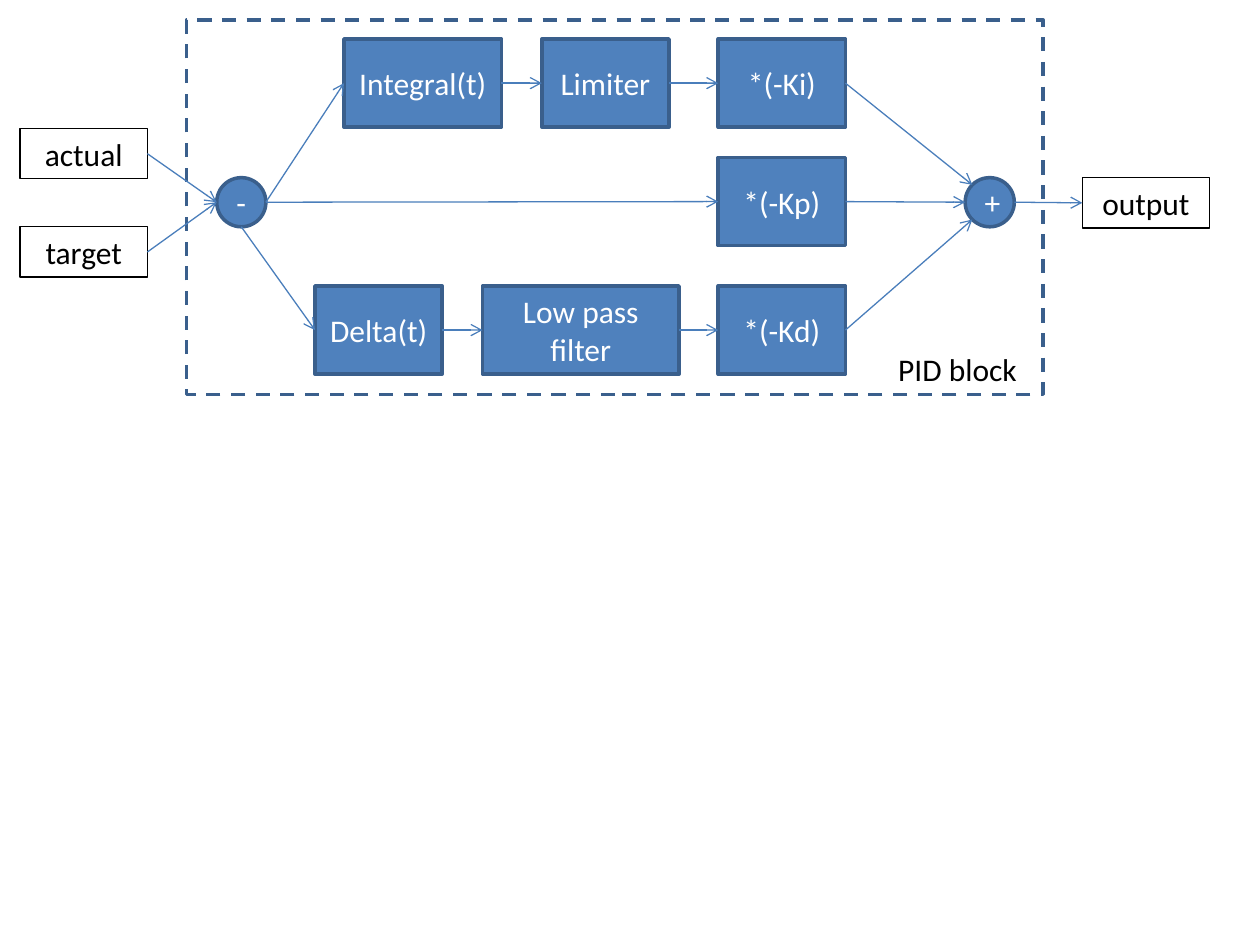
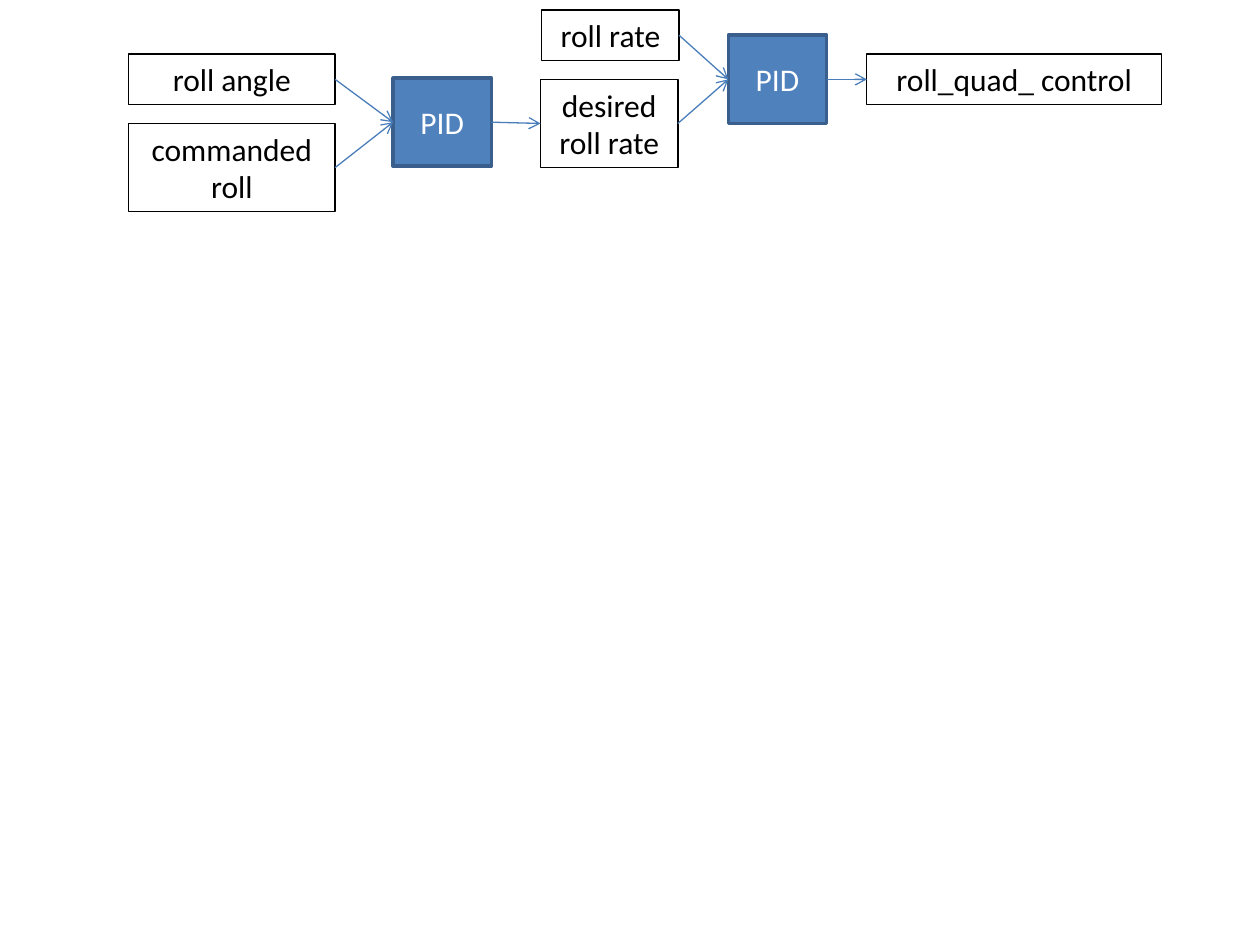
"""Build two block diagrams: the PID block, and the roll control cascade."""
import math

import pptx
import pptx.dml.color
import pptx.enum.dml
import pptx.enum.shapes
import pptx.enum.text
import pptx.oxml
import pptx.oxml.ns
import pptx.util

Inches = pptx.util.Inches
Pt = pptx.util.Pt
RGBColor = pptx.dml.color.RGBColor
ShapeKind = pptx.enum.shapes.MSO_SHAPE
Anchor = pptx.enum.text.MSO_ANCHOR
Align = pptx.enum.text.PP_ALIGN

BLOCK_FILL = RGBColor(0x4F, 0x81, 0xBD)
BLOCK_LINE = RGBColor(0x3A, 0x5F, 0x8C)
ARROW_LINE = RGBColor(0x4A, 0x7E, 0xBB)
BLACK = RGBColor(0, 0, 0)
WHITE = RGBColor(255, 255, 255)

FONT = "Calibri"
FONT_SIZE = Pt(18)
THIN = Pt(0.75)
THICK = Pt(2)

BLOCK_WIDTH = 1.01
BLOCK_HEIGHT = 0.7
SIGNAL_HEIGHT = 0.4
NODE_SIZE = 0.39
PID_WIDTH = 0.78

# Connection sites of a rectangle, and directions in degrees (clockwise from right).
RECTANGLE_SITES = {"left": 1, "right": 3}
NODE_ANGLES = {"right": 0, "bottom": 90, "lower left": 135,
               "left": 180, "upper left": 225}


class Diagram:
    """Holds the shared style and the slide being drawn."""

    def __init__(self, presentation):
        """Remember the presentation; slides are added on demand."""
        self.presentation = presentation
        self.slide = None

    def new_slide(self):
        """Start a blank slide."""
        self.slide = self.presentation.slides.add_slide(
            self.presentation.slide_layouts[6])

    def set_text(self, shape, text, color, align=Align.CENTER, anchor=Anchor.TOP):
        """Put styled text in a shape."""
        frame = shape.text_frame
        frame.text = text
        frame.word_wrap = True
        frame.vertical_anchor = anchor
        for paragraph in frame.paragraphs:
            paragraph.alignment = align
            for run in paragraph.runs:
                run.font.name = FONT
                run.font.size = FONT_SIZE
                run.font.color.rgb = color

    def outline(self, kind, left, top, width, height, color, line_width):
        """Draw an unfilled preset shape."""
        shape = self.slide.shapes.add_shape(
            kind, Inches(left), Inches(top), Inches(width), Inches(height))
        shape.shadow.inherit = False
        shape.fill.background()
        shape.line.color.rgb = color
        shape.line.width = line_width
        return shape

    def block(self, text, left, top, width=BLOCK_WIDTH, height=BLOCK_HEIGHT,
              kind=ShapeKind.RECTANGLE):
        """Draw a filled processing block."""
        shape = self.outline(kind, left, top, width, height, BLOCK_LINE, THICK)
        shape.fill.solid()
        shape.fill.fore_color.rgb = BLOCK_FILL
        self.set_text(shape, text, WHITE, anchor=Anchor.MIDDLE)
        return shape

    def node(self, text, left, top):
        """Draw a round sum or difference node."""
        return self.block(text, left, top, NODE_SIZE, NODE_SIZE, ShapeKind.OVAL)

    def signal(self, text, left, top, width=BLOCK_WIDTH, height=SIGNAL_HEIGHT):
        """Draw an outlined box that names an input or output."""
        shape = self.outline(ShapeKind.RECTANGLE, left, top, width, height,
                             BLACK, THIN)
        self.set_text(shape, text, BLACK)
        return shape

    def frame(self, left, top, width, height):
        """Draw a dashed boundary."""
        shape = self.outline(ShapeKind.RECTANGLE, left, top, width, height,
                             BLOCK_LINE, THICK)
        shape.line.dash_style = pptx.enum.dml.MSO_LINE.DASH

    def label(self, text, left, top, width, height):
        """Add free-standing text."""
        shape = self.slide.shapes.add_textbox(
            Inches(left), Inches(top), Inches(width), Inches(height))
        self.set_text(shape, text, BLACK, align=Align.LEFT)

    def edge_point(self, shape, side):
        """Return the point on a side of a rectangle or a node."""
        angle = math.radians(NODE_ANGLES[side])
        return (round(shape.left + shape.width / 2 * (1 + math.cos(angle))),
                round(shape.top + shape.height / 2 * (1 + math.sin(angle))))

    def arrow(self, source, target, source_side="right", target_side="left"):
        """Draw an arrow from one shape to another, glued to rectangles."""
        connector = self.slide.shapes.add_connector(
            pptx.enum.shapes.MSO_CONNECTOR.STRAIGHT,
            *self.edge_point(source, source_side),
            *self.edge_point(target, target_side))
        if source.auto_shape_type == ShapeKind.RECTANGLE:
            connector.begin_connect(source, RECTANGLE_SITES[source_side])
        if target.auto_shape_type == ShapeKind.RECTANGLE:
            connector.end_connect(target, RECTANGLE_SITES[target_side])
        connector.line.color.rgb = ARROW_LINE
        connector.line.width = THIN
        line = connector.element.spPr.find(pptx.oxml.ns.qn("a:ln"))
        namespace = pptx.oxml.ns.nsdecls("a")
        line.append(pptx.oxml.parse_xml(f'<a:tailEnd {namespace} type="arrow"/>'))
        line.addnext(pptx.oxml.parse_xml(f'<a:effectLst {namespace}/>'))

    def chain(self, *shapes):
        """Join neighbouring shapes with arrows."""
        for source, target in zip(shapes, shapes[1:]):
            self.arrow(source, target)


def draw_pid_block(diagram):
    """Draw the inside of the PID block."""
    diagram.new_slide()
    integral_top, proportional_top, derivative_top = 0.31, 1.25, 2.27
    gain_left, node_top = 5.7, 1.41

    diagram.frame(1.48, 0.16, 6.8, 2.97)
    diagram.label("PID block", 7.03, 2.73, 1.25, SIGNAL_HEIGHT)
    actual = diagram.signal("actual", 0.16, 1.02)
    target = diagram.signal("target", 0.16, 1.8)
    output = diagram.signal("output", 8.59, node_top)
    difference = diagram.node("-", 1.72, node_top)
    total = diagram.node("+", 7.66, node_top)

    integral = diagram.block("Integral(t)", 2.73, integral_top, 1.25)
    limiter = diagram.block("Limiter", 4.3, integral_top)
    integral_gain = diagram.block("*(-Ki)", gain_left, integral_top)
    proportional_gain = diagram.block("*(-Kp)", gain_left, proportional_top)
    delta = diagram.block("Delta(t)", 2.5, derivative_top)
    low_pass = diagram.block("Low pass filter", 3.83, derivative_top, 1.56)
    derivative_gain = diagram.block("*(-Kd)", gain_left, derivative_top)

    diagram.arrow(actual, difference)
    diagram.arrow(target, difference)
    diagram.chain(difference, integral, limiter, integral_gain)
    diagram.chain(difference, proportional_gain, total, output)
    diagram.arrow(difference, delta, source_side="bottom")
    diagram.chain(delta, low_pass, derivative_gain)
    diagram.arrow(integral_gain, total, target_side="upper left")
    diagram.arrow(derivative_gain, total, target_side="lower left")


def draw_roll_control(diagram):
    """Draw the cascade of an angle PID and a rate PID."""
    diagram.new_slide()
    angle_left, angle_width = 1.02, 1.64
    rate_left, rate_width = 4.29, 1.09

    angle = diagram.signal("roll angle", angle_left, 0.43, angle_width)
    command = diagram.signal("commanded\nroll", angle_left, 0.98, angle_width,
                             BLOCK_HEIGHT)
    angle_pid = diagram.block("PID", 3.12, 0.62, PID_WIDTH)
    rate = diagram.signal("roll rate", rate_left + 0.01, 0.08, rate_width)
    desired_rate = diagram.signal("desired roll rate", rate_left, 0.63,
                                  rate_width, BLOCK_HEIGHT)
    rate_pid = diagram.block("PID", 5.78, 0.28, PID_WIDTH)
    control = diagram.signal("roll_quad_ control", 6.88, 0.43, 2.34)

    diagram.arrow(angle, angle_pid)
    diagram.chain(command, angle_pid, desired_rate, rate_pid, control)
    diagram.arrow(rate, rate_pid)


def main():
    """Build and save the presentation."""
    presentation = pptx.Presentation()
    presentation.slide_width = Inches(10)
    presentation.slide_height = Inches(7.5)
    diagram = Diagram(presentation)
    draw_pid_block(diagram)
    draw_roll_control(diagram)
    presentation.save("out.pptx")


main()
